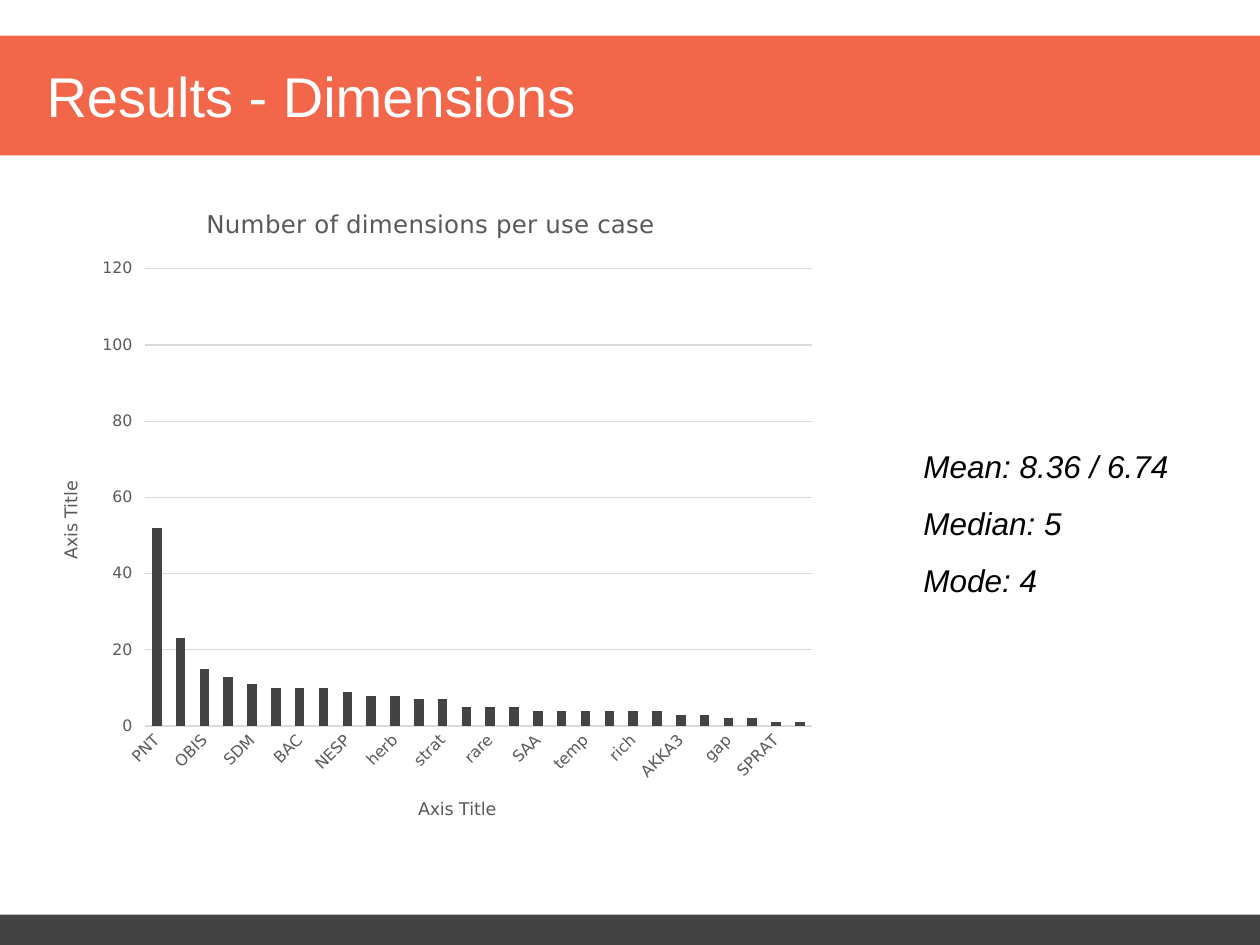
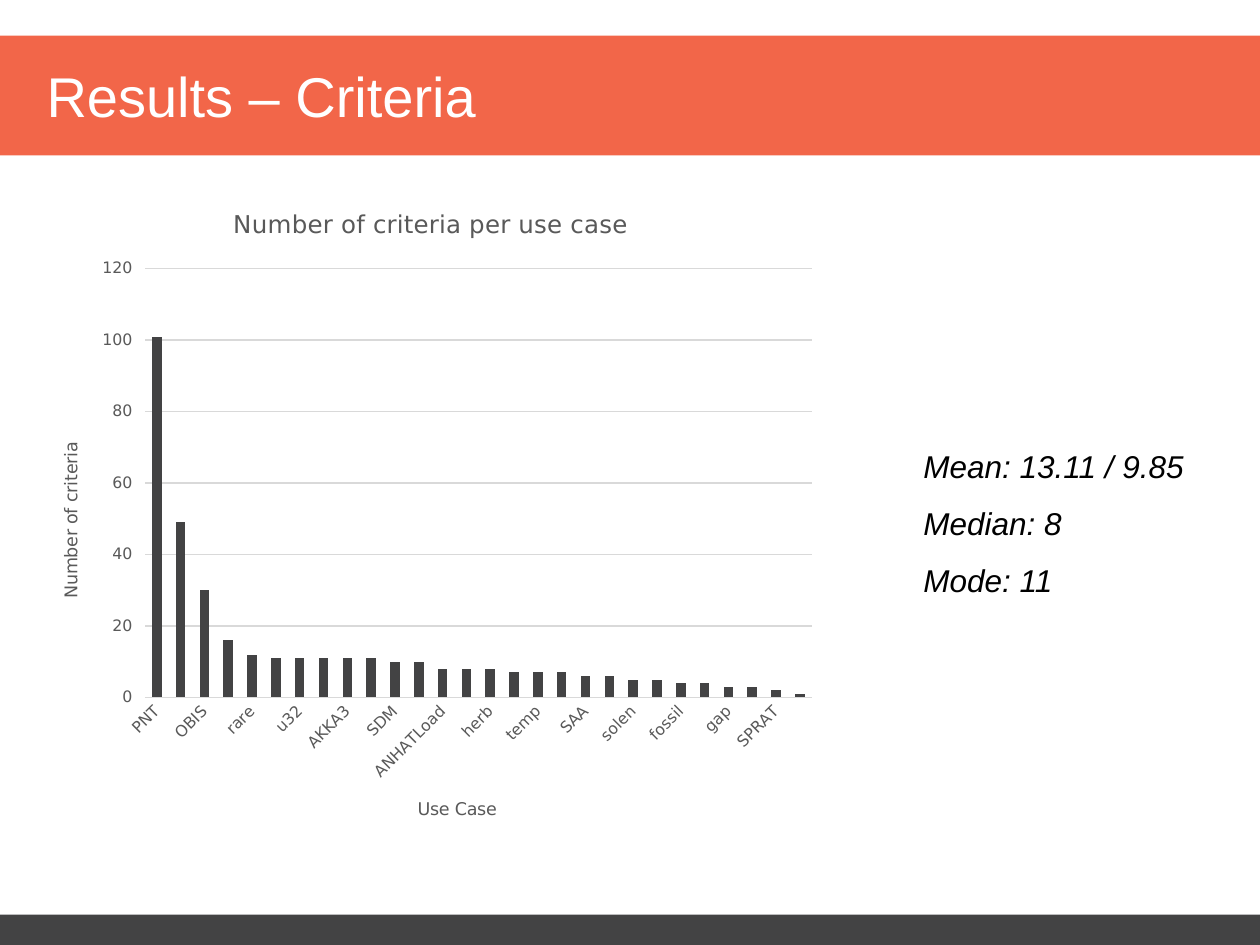
from pptx import Presentation
from pptx.chart.data import CategoryChartData
from pptx.dml.color import RGBColor
from pptx.enum.chart import XL_CHART_TYPE, XL_TICK_MARK
from pptx.enum.shapes import MSO_SHAPE
from pptx.enum.text import MSO_ANCHOR, MSO_AUTO_SIZE, PP_ALIGN
from pptx.util import Pt

COLORS = {"band": "F26649", "dark": "434344", "white": "FFFFFF",
          "black": "000000", "label": "595959", "grid": "D9D9D9"}
SLIDE_W, SLIDE_H = 720, 540
BAND_TOP, BAND_H, FOOTER_H = 20.4, 68.4, 17.3
LEFT = 19.4
CHART_FONT = "DejaVu Sans"

RESULTS = [
    {
        "title": "Results - Dimensions",
        "chart_title": "Number of dimensions per use case",
        "x_title": "Axis Title",
        "y_title": "Axis Title",
        "cases": "PNT niche OBIS dpaw SDM MILLI BAC u32 NESP newg herb ANHATLoad "
                 "strat palaeo rare solen SAA AKKA2 temp canopy rich ring AKKA3 "
                 "fossil gap clim SPRAT AKKA1",
        "values": [52, 23, 15, 13, 11, 10, 10, 10, 9, 8, 8, 7, 7, 5,
                   5, 5, 4, 4, 4, 4, 4, 4, 3, 3, 2, 2, 1, 1],
        "stats": ["Mean: 8.36 / 6.74", "Median: 5", "Mode: 4"],
    },
    {
        "title": "Results – Criteria",
        "chart_title": "Number of criteria per use case",
        "x_title": "Use Case",
        "y_title": "Number of criteria",
        "cases": "PNT NESP OBIS dpaw rare MILLI u32 AKKA2 AKKA3 palaeo SDM BAC "
                 "ANHATLoad newg herb niche temp strat SAA canopy solen ring "
                 "fossil rich gap clim SPRAT AKKA1",
        "values": [101, 49, 30, 16, 12, 11, 11, 11, 11, 11, 10, 10, 8, 8,
                   8, 7, 7, 7, 6, 6, 5, 5, 4, 4, 3, 3, 2, 1],
        "stats": ["Mean: 13.11 / 9.85", "Median: 8", "Mode: 11"],
    },
]


def rgb(name):
    return RGBColor.from_string(COLORS[name])


def set_font(font, size, color, name="Arial", italic=False):
    font.name, font.size = name, Pt(size)
    font.bold, font.italic = False, italic
    font.color.rgb = rgb(color)


def write(p, text, spacing=None, **fmt):
    if spacing:
        p.line_spacing = spacing
    r = p.add_run()
    r.text = text
    set_font(r.font, **fmt)


def add_band(s, top, height, color):
    band = s.shapes.add_shape(MSO_SHAPE.RECTANGLE, 0, Pt(top), Pt(SLIDE_W), Pt(height))
    band.shadow.inherit = False
    band.fill.solid()
    band.fill.fore_color.rgb = rgb(color)
    band.line.fill.background()
    # Keep the band behind the title
    s.shapes.title.element.addprevious(band.element)


def add_title(s, text):
    title = s.shapes.title
    title.left, title.top = Pt(LEFT), Pt(BAND_TOP)
    title.width, title.height = Pt(500.4), Pt(BAND_H)
    tf = title.text_frame
    tf.auto_size = MSO_AUTO_SIZE.NONE
    tf.vertical_anchor = MSO_ANCHOR.MIDDLE
    p = tf.paragraphs[0]
    p.alignment = PP_ALIGN.LEFT
    write(p, text, size=32, color="white")


def add_chart_title(owner, text, size, rotation=0):
    """Title a chart or one of its axes."""
    owner.has_title = True
    title = owner.chart_title if hasattr(owner, "chart_title") else owner.axis_title
    p = title.text_frame.paragraphs[0]
    write(p, text, size=size, color="label", name=CHART_FONT)
    rotate(title.text_frame, rotation)


def rotate(tf, degrees):
    tf.paragraphs[0].runs[0].font  # titles always hold one run
    body = tf._txBody.bodyPr
    body.set("rot", str(degrees * 60000))
    body.set("vert", "horz")


def add_results_chart(s, result):
    data = CategoryChartData()
    data.categories = result["cases"].split()
    data.add_series("Series 1", result["values"])
    chart = s.shapes.add_chart(XL_CHART_TYPE.COLUMN_CLUSTERED, Pt(LEFT), Pt(104.4),
                               Pt(453.6), Pt(378.7), data).chart
    set_font(chart.font, 10, "black", CHART_FONT)
    chart.has_legend = False

    # Columns
    plot = chart.plots[0]
    plot.gap_width = 150
    plot.vary_by_categories = False
    fill = plot.series[0].format.fill
    fill.solid()
    fill.fore_color.rgb = rgb("dark")

    # Axes
    x, y = chart.category_axis, chart.value_axis
    for axis in (x, y):
        set_font(axis.tick_labels.font, 9, "label", CHART_FONT)
    x.major_tick_mark = XL_TICK_MARK.NONE
    x.tick_labels.font._element.getparent().getparent().getparent().bodyPr.set(
        "rot", str(-45 * 60000))
    y.major_tick_mark = XL_TICK_MARK.OUTSIDE
    y.minimum_scale, y.maximum_scale, y.major_unit = 0, 120, 20
    y.format.line.fill.background()
    y.has_major_gridlines = True
    for line in (x.format.line, y.major_gridlines.format.line):
        line.color.rgb = rgb("grid")
        line.width = Pt(0.75)

    # Titles
    add_chart_title(chart, result["chart_title"], 14)
    add_chart_title(x, result["x_title"], 10)
    add_chart_title(y, result["y_title"], 10, rotation=-90)


def add_stats(s, lines):
    tf = s.shapes.add_textbox(Pt(520.6), Pt(241.2), Pt(167), Pt(105.1)).text_frame
    tf.word_wrap = True
    tf.auto_size = MSO_AUTO_SIZE.SHAPE_TO_FIT_TEXT
    for i, line in enumerate(lines):
        p = tf.add_paragraph() if i else tf.paragraphs[0]
        write(p, line, spacing=1.5, size=18, color="black", italic=True)


def main():
    prs = Presentation()
    prs.slide_width, prs.slide_height = Pt(SLIDE_W), Pt(SLIDE_H)
    title_only = prs.slide_layouts[5]
    for result in RESULTS:
        s = prs.slides.add_slide(title_only)
        add_band(s, BAND_TOP, BAND_H, "band")
        add_band(s, SLIDE_H - FOOTER_H, FOOTER_H, "dark")
        add_title(s, result["title"])
        add_results_chart(s, result)
        add_stats(s, result["stats"])
    prs.save("out.pptx")


if __name__ == "__main__":
    main()
